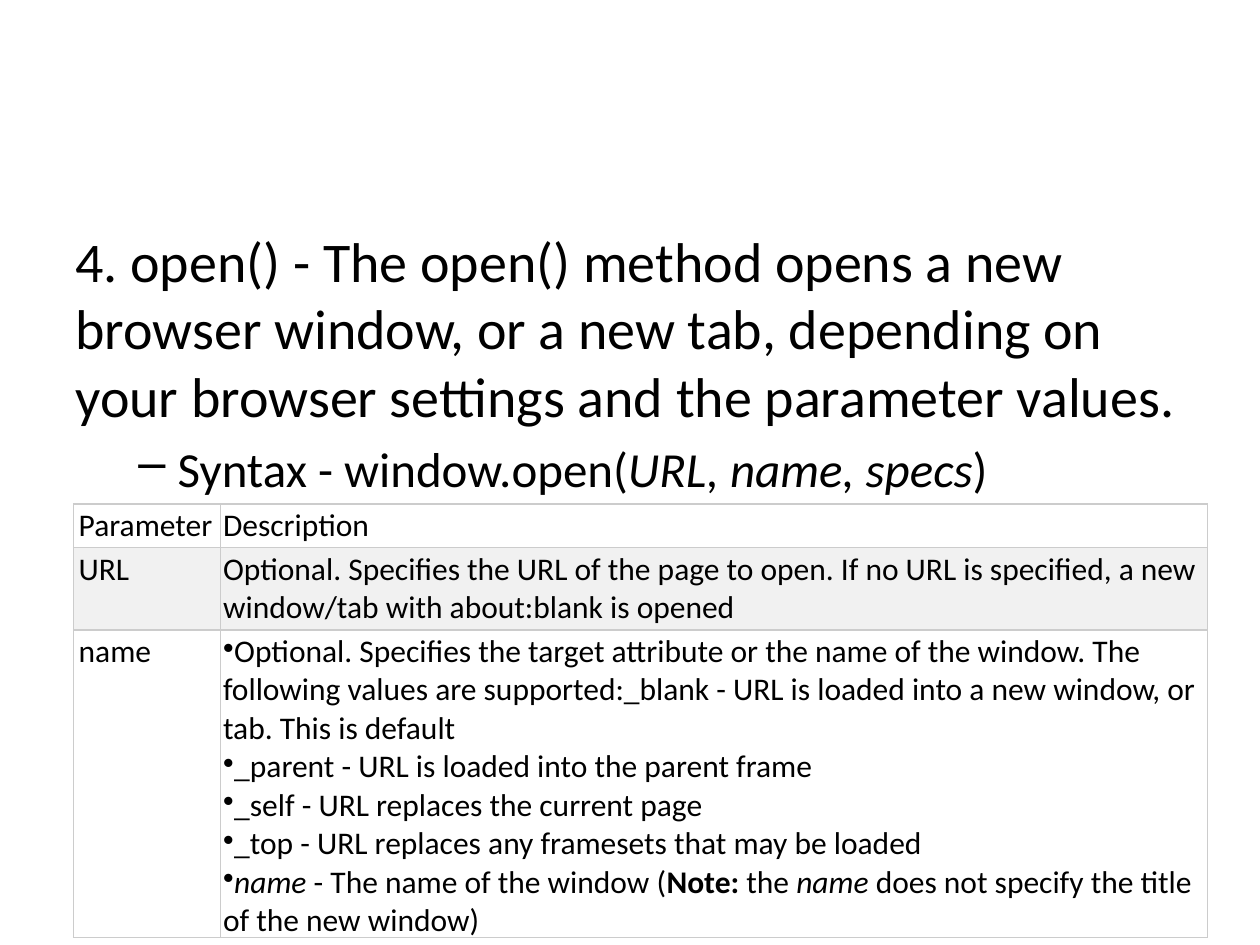
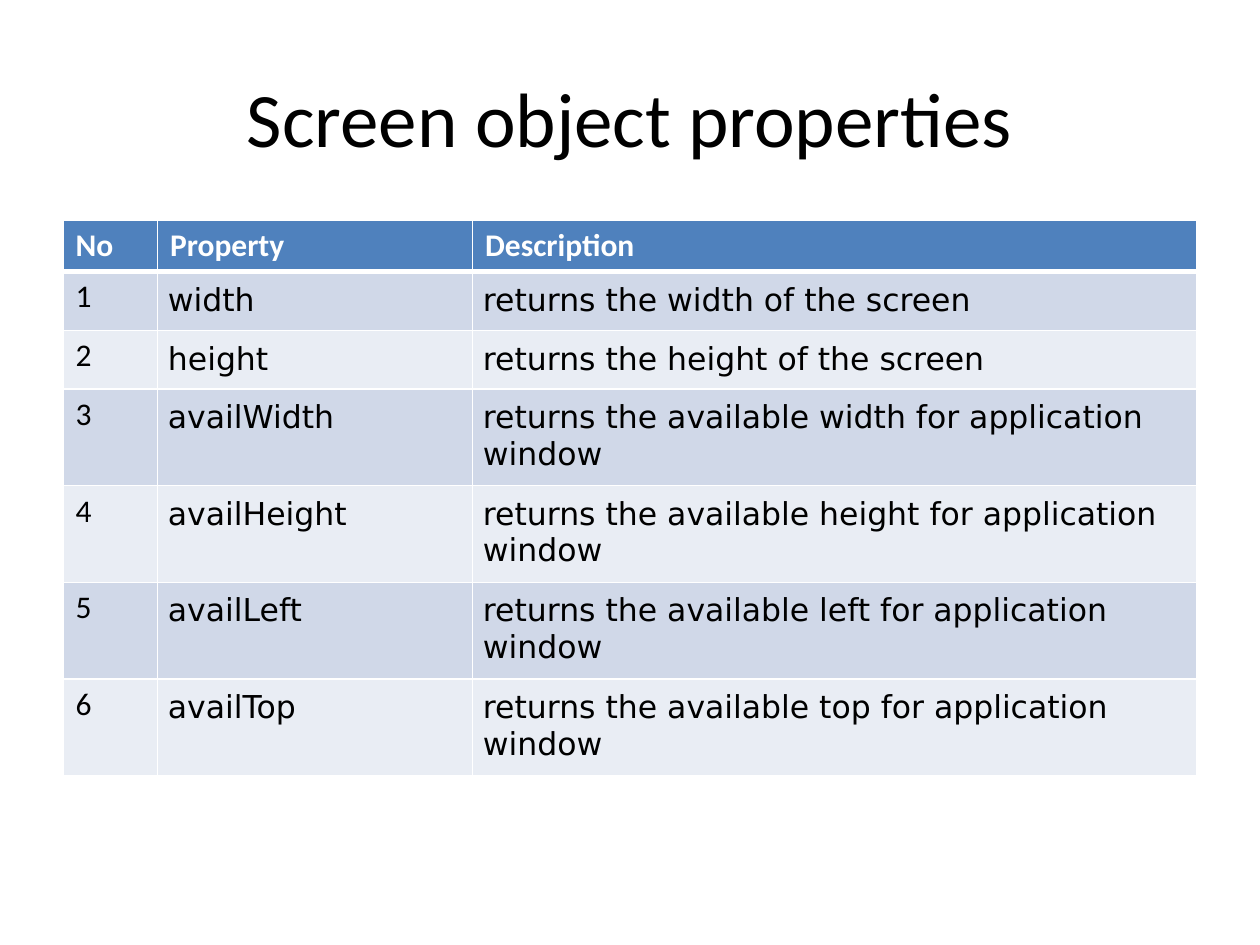
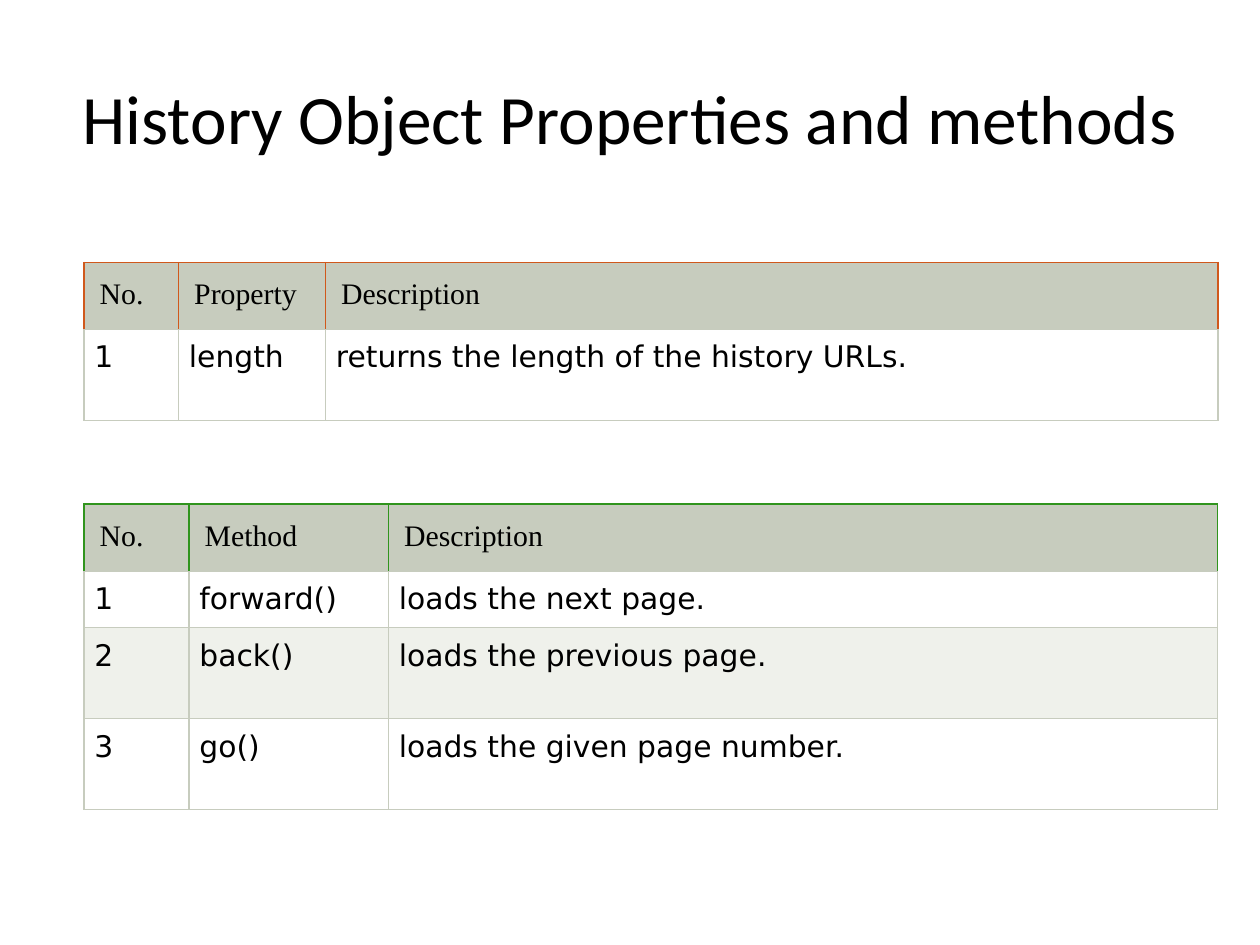
from lxml.etree import SubElement
from pptx import Presentation
from pptx.dml.color import RGBColor
from pptx.enum.text import MSO_ANCHOR, PP_ALIGN
from pptx.oxml import parse_xml
from pptx.oxml.ns import nsdecls, qn
from pptx.util import Pt

COLORS = {
    "text": "000000", "white": "FFFFFF",
    "silver": "CCCCCC", "pale": "F1F1F1",
    "blue": "4F81BD", "blue_band": "D0D8E8", "blue_pale": "E9EDF4",
    "sage": "C7CCBE", "sage_pale": "EFF1EB",
    "orange": "D0581C", "green": "30941D",
}
BODY_FONT, CODE_FONT, HEAD_FONT = "Calibri", "DejaVu Sans", "Times New Roman"


def write_runs(paragraph, pieces, font, size, color="text"):
    """Write text, or (text, marks) pieces where marks hold b and i."""
    if isinstance(pieces, str):
        pieces = [(pieces, "")]
    for text, marks in pieces:
        run = paragraph.add_run()
        run.text = text
        run.font.name = font
        run.font.size = Pt(size)
        run.font.bold = "b" in marks
        run.font.italic = "i" in marks
        run.font.color.rgb = RGBColor.from_string(COLORS[color])


def add_grid(slide, left, top, widths, heights, rows, fills, edges, styles):
    """Draw a table; fills and edges go by row, styles by row and column.

    Edges are (sides and top, bottom, bottom width) and styles are
    (font, size, color, insets); a list in a cell gives bulleted paragraphs.
    """
    table = slide.shapes.add_table(
        len(rows), len(widths), Pt(left), Pt(top),
        Pt(sum(widths)), Pt(sum(heights))).table
    table.first_row = table.horz_banding = False
    for column, width in zip(table.columns, widths):
        column.width = Pt(width)
    for r, row in enumerate(rows):
        table.rows[r].height = Pt(heights[r])
        side, bottom, bottom_width = edges[r]
        above, above_width = (edges[r - 1][1:] if r else (side, edges[-1][2]))
        borders = [("L", side, edges[-1][2]), ("R", side, edges[-1][2]),
                   ("T", above, above_width), ("B", bottom, bottom_width)]
        for c, content in enumerate(row):
            cell = table.cell(r, c)
            font, size, color, insets = styles[r][c]
            (cell.margin_left, cell.margin_top,
             cell.margin_right, cell.margin_bottom) = map(Pt, insets)
            cell.fill.solid()
            cell.fill.fore_color.rgb = RGBColor.from_string(COLORS[fills[r]])
            properties = cell._tc.get_or_add_tcPr()
            for place, (edge, line_color, line_width) in enumerate(borders):
                properties.insert(place, parse_xml(
                    f'<a:ln{edge} {nsdecls("a")} w="{Pt(line_width)}">'
                    f'<a:solidFill><a:srgbClr val="{COLORS[line_color]}"/>'
                    f'</a:solidFill></a:ln{edge}>'))
            bulleted = isinstance(content, list) and isinstance(content[0], str)
            for n, item in enumerate(content if bulleted else [content]):
                frame = cell.text_frame
                paragraph = frame.add_paragraph() if n else frame.paragraphs[0]
                if bulleted:
                    SubElement(paragraph._p.get_or_add_pPr(),
                               qn("a:buChar"), char="•")
                write_runs(paragraph, item, font, size, color)


deck = Presentation()
deck.slide_width, deck.slide_height = Pt(720), Pt(540)

# Slides and their shared title style
titles = [None, ("Screen object properties", 44),
          ("History Object Properties and methods", 39.6)]
slides = []
for title in titles:
    slide = deck.slides.add_slide(deck.slide_layouts[6])
    slides.append(slide)
    if title:
        heading = slide.shapes.add_textbox(
            Pt(36), Pt(21.6), Pt(648), Pt(90)).text_frame
        heading.word_wrap = True
        heading.vertical_anchor = MSO_ANCHOR.MIDDLE
        heading.paragraphs[0].alignment = PP_ALIGN.CENTER
        write_runs(heading.paragraphs[0], title[0], BODY_FONT, title[1])
open_slide, screen_slide, history_slide = slides

# Slide 1: the open() method
intro = open_slide.shapes.add_textbox(
    Pt(36), Pt(126), Pt(648), Pt(356.4)).text_frame
intro.word_wrap = True
summary, syntax = intro.paragraphs[0], intro.add_paragraph()
summary.space_before = Pt(6.4)
write_runs(summary, "4. open() - The open() method opens a new browser window, "
           "or a new tab, depending on your browser settings and the "
           "parameter values.", BODY_FONT, 32)
syntax.level = 1
syntax.space_before = Pt(5.6)
syntax_format = syntax._p.get_or_add_pPr()
syntax_format.set("marL", str(Pt(58.5)))
syntax_format.set("indent", str(Pt(-22.5)))
SubElement(syntax_format, qn("a:buChar"), char="–")
write_runs(syntax, [("Syntax - window.open(", ""), ("URL, name, specs", "i"),
                    (")", "")], BODY_FONT, 28)

name_values = [
    "Optional. Specifies the target attribute or the name of the window. The "
    "following values are supported:_blank - URL is loaded into a new window, "
    "or tab. This is default",
    "_parent - URL is loaded into the parent frame",
    "_self - URL replaces the current page",
    "_top - URL replaces any framesets that may be loaded",
    [("name", "i"), ("\u00a0- The name of the window (", ""), ("Note:", "b"),
     ("\u00a0the\u00a0", ""), ("name", "i"),
     ("\u00a0does not specify the title of the new window)", "")],
]
parameters = [
    ("Parameter", "Description"),
    ("URL", "Optional. Specifies the URL of the page to open. If no URL is "
            "specified, a new window/tab with about:blank is opened"),
    ("name", name_values),
]
parameter_style = [(BODY_FONT, 18, "text", (inset, 1.5, 1.5, 1.5))
                   for inset in (3, 1.5)]
add_grid(open_slide, 42, 288, [84, 564], [25, 47, 175], parameters,
         ["white", "pale", "white"], [("silver", "silver", 0.75)] * 3,
         [parameter_style] * 3)

# Slide 2: screen properties
screen_rows = [([("No", "b")], [("Property", "b")], [("Description", "b")])]
for number, (name, meaning) in enumerate([
        ("width", "width of the screen"),
        ("height", "height of the screen"),
        ("availWidth", "available width for application window"),
        ("availHeight", "available height for application window"),
        ("availLeft", "available left for application window"),
        ("availTop", "available top for application window")], 1):
    screen_rows.append((str(number), name, f"returns the {meaning}"))
number_insets, code_insets = (7.2, 3.6, 7.2, 3.6), (6, 6, 6, 6)
screen_head = [(BODY_FONT, 18, "white", number_insets)] * 3
screen_body = [(BODY_FONT, 18, "text", number_insets)] + [
    (CODE_FONT, 18, "text", code_insets)] * 2
add_grid(screen_slide, 36, 126, [54, 180, 414], [29.2] * 7, screen_rows,
         ["blue"] + ["blue_band", "blue_pale"] * 3,
         [("white", "white", 3)] + [("white", "white", 1)] * 6,
         [screen_head] + [screen_body] * 6)

# Slide 3: history properties and methods
history_head = [(HEAD_FONT, 17, "text", (9, 9, 9, 9))] * 3
history_body = [(CODE_FONT, 17, "text", code_insets)] * 3
history_tables = [
    (150, "orange", [54, 84, 510], [37.2, 52], [
        ("No.", "Property", "Description"),
        ("1", "length", "returns the length of the history URLs.")]),
    (288, "green", [60, 114, 474], [37.2, 31.6, 52, 52], [
        ("No.", "Method", "Description"),
        ("1", "forward()", "loads the next page."),
        ("2", "back()", "loads the previous page."),
        ("3", "go()", "loads the given page number.")]),
]
for top, accent, widths, heights, rows in history_tables:
    entries = len(rows) - 1
    add_grid(history_slide, 48, top, widths, heights, rows,
             ["sage", "white", "sage_pale", "white"][:len(rows)],
             [(accent, "sage", 0.75)] + [("sage", "sage", 0.75)] * entries,
             [history_head] + [history_body] * entries)

deck.save("out.pptx")
